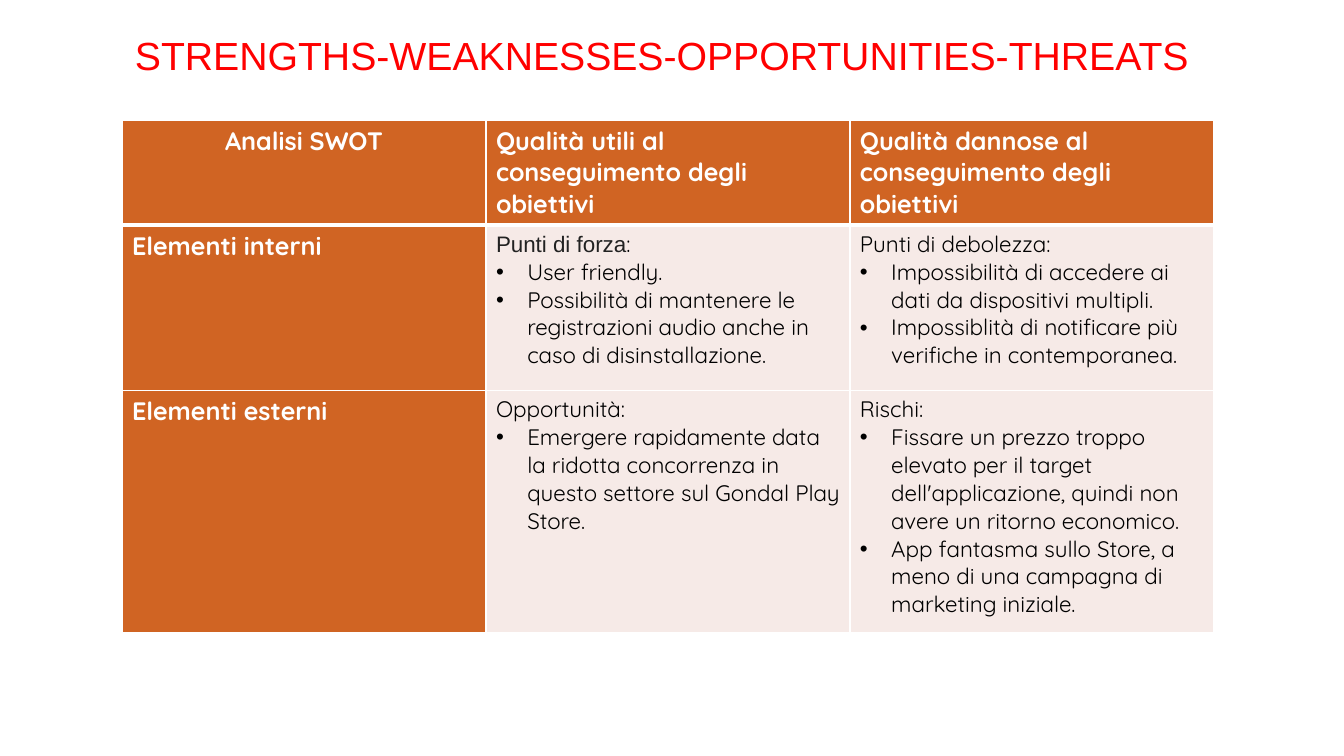
from dataclasses import dataclass

from lxml import etree
from pptx import Presentation
from pptx import util as u
from pptx.dml import color
from pptx.enum import text
from pptx.oxml import ns

ORANGE, BLUSH, WHITE, BLACK, RED = "D06423", "F6EAE7", "FFFFFF", "000000", "FF0000"
THIN, THICK = 0.96, 3
HEADING = {"size": u.Pt(18), "name": "Quicksand", "bold": True}
BODY = {"size": u.Pt(16), "name": "Quicksand", "bold": False}
ARIAL_BODY = {**BODY, "name": "Arial"}
TITLE = {"size": u.Pt(28), "name": "Arial", "bold": False}


@dataclass(frozen=True)
class Run:
    text: str
    fmt: dict
    color: str


@dataclass(frozen=True)
class Para:
    runs: list[Run]
    bullet: bool = False
    align: text.PP_ALIGN = text.PP_ALIGN.LEFT


@dataclass(frozen=True)
class Cell:
    paras: list[Para]
    fill: str


def rgb(value: str) -> color.RGBColor:
    return color.RGBColor.from_string(value)


def heading(words: str, align: text.PP_ALIGN = text.PP_ALIGN.LEFT) -> Cell:
    return Cell([Para([Run(words, HEADING, WHITE)], align=align)], ORANGE)


def quadrant(label: list[Run], *points: str) -> Cell:
    bullets = [Para([Run(point, BODY, BLACK)], bullet=True) for point in points]
    return Cell([Para(label), *bullets], BLUSH)


def add_solid_color(parent, value: str) -> None:
    etree.SubElement(parent, ns.qn("a:srgbClr"), val=value)


def add_bullet(p) -> None:
    pPr = p._p.get_or_add_pPr()
    indent = u.Inches(0.31)
    pPr.set("marL", str(indent))
    pPr.set("indent", str(-indent))
    add_solid_color(etree.SubElement(pPr, ns.qn("a:buClr")), BLACK)
    etree.SubElement(pPr, ns.qn("a:buFont"), typeface="Arial")
    etree.SubElement(pPr, ns.qn("a:buChar"), char="•")


def write(tf, paras: list[Para]) -> None:
    for i, para in enumerate(paras):
        p = tf.add_paragraph() if i else tf.paragraphs[0]
        if para.bullet:
            add_bullet(p)
        p.alignment = para.align
        for run in para.runs:
            r = p.add_run()
            r.text = run.text
            for key, value in run.fmt.items():
                setattr(r.font, key, value)
            r.font.color.rgb = rgb(run.color)


def set_borders(cell, top: float, bottom: float) -> None:
    tcPr = cell._tc.get_or_add_tcPr()
    for side, width in {"L": THIN, "R": THIN, "T": top, "B": bottom}.items():
        ln = etree.SubElement(tcPr, ns.qn(f"a:ln{side}"), w=str(u.Pt(width)))
        add_solid_color(etree.SubElement(ln, ns.qn("a:solidFill")), WHITE)


SWOT = [
    [
        heading("Analisi SWOT", text.PP_ALIGN.CENTER),
        heading("Qualità utili al conseguimento degli obiettivi"),
        heading("Qualità dannose al conseguimento degli obiettivi"),
    ],
    [
        heading("Elementi interni"),
        quadrant(
            [Run("Punti di forza", ARIAL_BODY, "222222"), Run(":", BODY, BLACK)],
            "User friendly.",
            "Possibilità di mantenere le registrazioni audio anche in caso di disinstallazione.",
        ),
        quadrant(
            [Run("Punti di debolezza:", BODY, BLACK)],
            "Impossibilità di accedere ai dati da dispositivi multipli.",
            "Impossiblità di notificare più verifiche in contemporanea.",
        ),
    ],
    [
        heading("Elementi esterni"),
        quadrant(
            [Run("Opportunità:", BODY, BLACK)],
            "Emergere rapidamente data la ridotta concorrenza in questo settore sul Gondal Play Store.",
        ),
        quadrant(
            [Run("Rischi:", BODY, BLACK)],
            "Fissare un prezzo troppo elevato per il target dell'applicazione, "
            "quindi non avere un ritorno economico.",
            "App fantasma sullo Store, a meno di una campagna di marketing iniziale.",
        ),
    ],
]
ROW_HEIGHTS = [0.97, 1.64, 2.41]


def add_swot_table(slide) -> None:
    table = slide.shapes.add_table(
        len(SWOT), len(SWOT[0]), u.Inches(1.21), u.Inches(1.19),
        u.Inches(10.83), u.Inches(sum(ROW_HEIGHTS)),
    ).table
    for row, height in zip(table.rows, ROW_HEIGHTS):
        row.height = u.Inches(height)
    for i, cells in enumerate(SWOT):
        for j, content in enumerate(cells):
            cell = table.cell(i, j)
            set_borders(cell, THICK if i == 1 else THIN, THICK if i == 0 else THIN)
            cell.fill.solid()
            cell.fill.fore_color.rgb = rgb(content.fill)
            write(cell.text_frame, content.paras)


def add_title(slide) -> None:
    sp = slide.shapes.add_textbox(u.Inches(1.24), 0, u.Inches(10.83), u.Inches(1.09))
    tf = sp.text_frame
    tf.word_wrap = True
    tf.vertical_anchor = text.MSO_ANCHOR.MIDDLE
    write(tf, [Para([Run("STRENGTHS-WEAKNESSES-OPPORTUNITIES-THREATS", TITLE, RED)])])


def main() -> None:
    prs = Presentation()
    prs.slide_width, prs.slide_height = u.Inches(13.33), u.Inches(7.5)
    slide = prs.slides.add_slide(prs.slide_layouts[6])
    # SWOT matrix
    add_swot_table(slide)
    # Title
    add_title(slide)
    prs.save("out.pptx")


if __name__ == "__main__":
    main()
